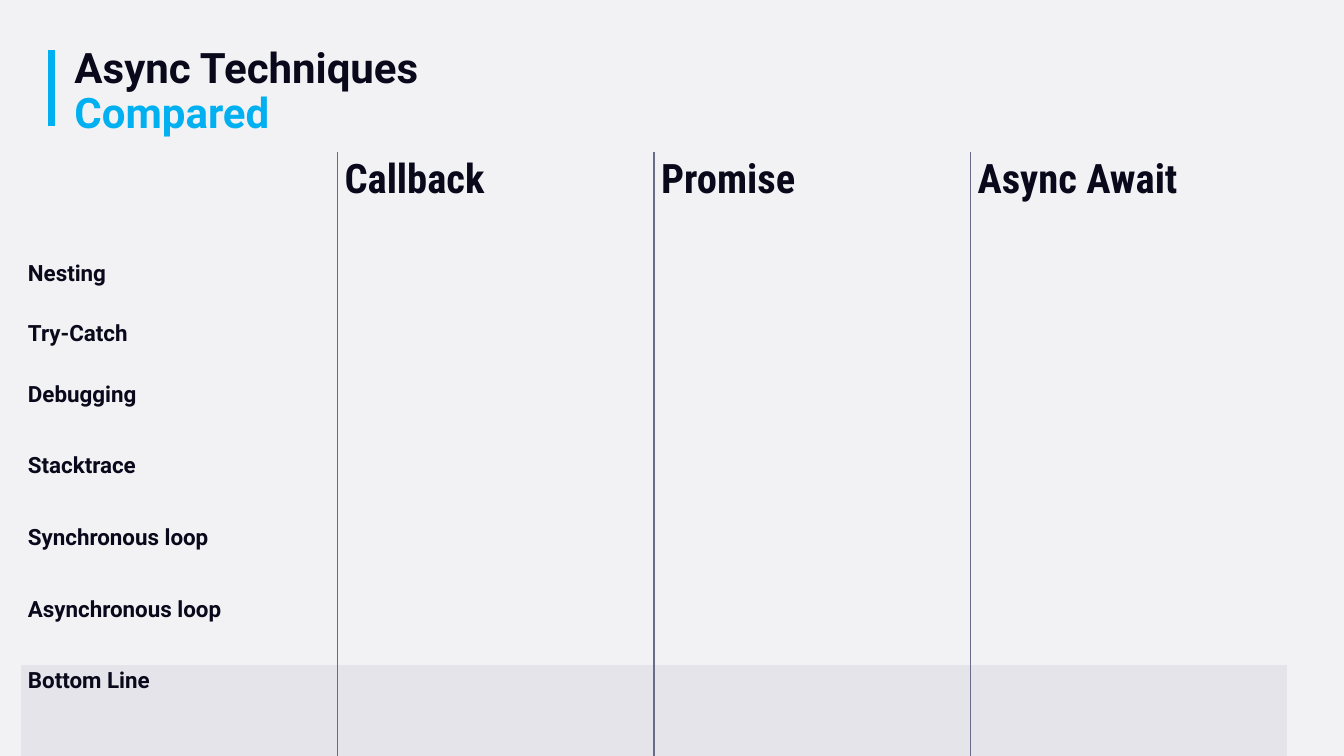
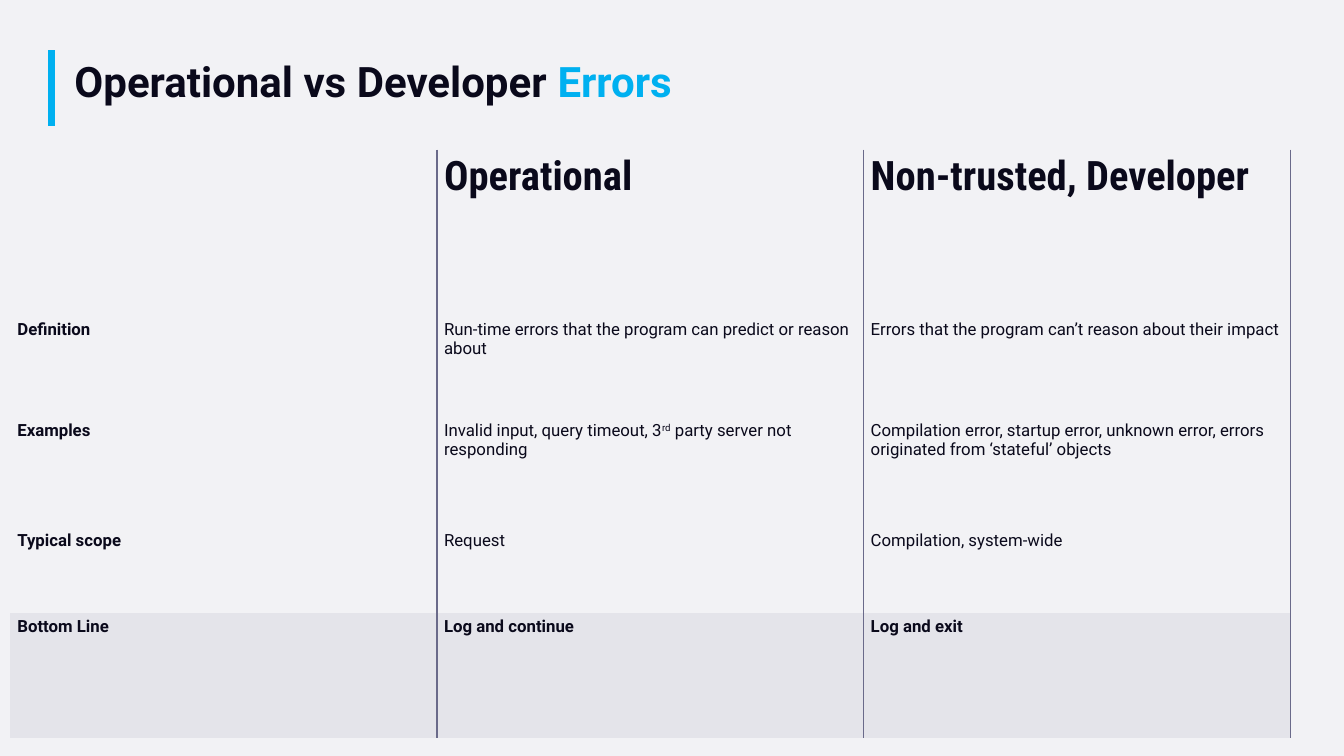
from dataclasses import dataclass

from lxml.etree import SubElement
from pptx import Presentation
from pptx.dml.color import RGBColor
from pptx.enum.shapes import MSO_CONNECTOR
from pptx.oxml.ns import qn
from pptx.util import Pt


@dataclass(frozen=True)
class Theme:
    background: str = "F2F2F5"
    ink: str = "0A091B"
    accent: str = "00B0F0"
    rule: str = "6A6A8A"
    band: str = "E4E4EA"
    body_font: str = "Roboto"
    header_font: str = "Roboto Condensed"
    title_size: float = 30
    header_size: float = 29
    accent_width: float = 5
    rule_width: float = 1
    plain_table: str = "{2D5ABB26-0587-4C30-8999-92F81FD0307C}"


@dataclass(frozen=True)
class Box:
    left: float
    top: float
    width: float
    height: float


THEME = Theme()
BAR = Box(36.72, 36, 0, 54)


def add_span(para, text, size, font=THEME.body_font, color=THEME.ink, bold=True, raised=False):
    span = para.add_run()
    span.text = text
    span.font.size = Pt(size)
    span.font.name = font
    span.font.bold = bold
    span.font.color.rgb = RGBColor.from_string(color)
    if raised:
        span.font._element.set("baseline", "30000")


def add_page(deck):
    page = deck.slides.add_slide(deck.slide_layouts[6])
    page.background.fill.solid()
    page.background.fill.fore_color.rgb = RGBColor.from_string(THEME.background)
    bar = page.shapes.add_connector(
        MSO_CONNECTOR.STRAIGHT, Pt(BAR.left), Pt(BAR.top),
        Pt(BAR.left + BAR.width), Pt(BAR.top + BAR.height))
    bar.line.color.rgb = RGBColor.from_string(THEME.accent)
    bar.line.width = Pt(THEME.accent_width)
    SubElement(bar._element.spPr, qn("a:effectLst"))
    return page


def add_title(page, box, lead, accent, stacked=False):
    frame = page.shapes.add_textbox(
        Pt(box.left), Pt(box.top), Pt(box.width), Pt(box.height)).text_frame
    frame.word_wrap = True
    para = frame.paragraphs[0]
    para.line_spacing = 0.9
    add_span(para, lead, THEME.title_size)
    if stacked:
        para.add_line_break()
    add_span(para, accent, THEME.title_size, color=THEME.accent)


def set_borders(cell, left, right):
    properties = cell._tc.get_or_add_tcPr()
    for side, shown in (("L", left), ("R", right), ("T", False), ("B", False)):
        line = SubElement(properties, qn(f"a:ln{side}"), w=str(Pt(THEME.rule_width)))
        if shown:
            fill = SubElement(line, qn("a:solidFill"))
            SubElement(fill, qn("a:srgbClr"), val=THEME.rule)
        else:
            SubElement(line, qn("a:noFill"))


def fill_cell(cell, content, size, font, bold, banded):
    cell.margin_left = cell.margin_right = Pt(5)
    cell.margin_top = cell.margin_bottom = Pt(2.5)
    if banded:
        cell.fill.solid()
        cell.fill.fore_color.rgb = RGBColor.from_string(THEME.band)
    else:
        cell.fill.background()
    para = cell.text_frame.paragraphs[0]
    spans = [(content, False)] if isinstance(content, str) else content
    for text, raised in spans:
        if text:
            add_span(para, text, size, font, bold=bold, raised=raised)


def add_comparison(page, box, rows, heights, body_size, closed=False):
    columns = len(rows[0])
    table = page.shapes.add_table(
        len(rows), columns, Pt(box.left), Pt(box.top), Pt(box.width), Pt(box.height)).table
    table.first_row = table.horz_banding = False
    table._tbl.tblPr.find(qn("a:tableStyleId")).text = THEME.plain_table
    for column in table.columns:
        column.width = Pt(box.width / columns)
    for index, (row, height) in enumerate(zip(rows, heights)):
        table.rows[index].height = Pt(height)
        header, last = index == 0, index == len(rows) - 1
        size = THEME.header_size if header else body_size
        font = THEME.header_font if header else THEME.body_font
        for position, content in enumerate(row):
            cell = table.cell(index, position)
            set_borders(cell, position > 0, closed or position < columns - 1)
            fill_cell(cell, content, size, font, header or last or position == 0, last)


def build_techniques(deck):
    page = add_page(deck)
    add_title(page, Box(46.1, 30.2, 286, 72.7), "Async Techniques", "Compared", stacked=True)
    labels = ["Nesting", "Try-Catch", "Debugging", "Stacktrace",
              "Synchronous loop", "Asynchronous loop", "Bottom Line"]
    rows = [["", "Callback", "Promise", "Async Await"]]
    rows += [[label, "", "", ""] for label in labels]
    heights = [74.9, 43.2, 43.2] + [51.2] * 4 + [74.2]
    add_comparison(page, Box(15, 108.7, 904.4, sum(heights)), rows, heights, 16)


def build_errors(deck):
    page = add_page(deck)
    add_title(page, Box(46.1, 40.3, 612.7, 40.3), "Operational vs Developer ", "Errors")
    rows = [
        ["", "Operational", "Non-trusted, Developer"],
        ["Definition", "Run-time errors that the program can predict or reason about",
         "Errors that the program can’t reason about their impact"],
        ["Examples",
         [("Invalid input, query timeout, 3", False), ("rd", True),
          (" party server not responding", False)],
         "Compilation error, startup error, unknown error, errors originated from ‘stateful’ objects"],
        ["Typical scope", "Request", "Compilation, system-wide"],
        ["Bottom Line", "Log and continue", "Log and exit"],
    ]
    heights = [119, 72, 79.2, 61.2, 88.6]
    add_comparison(page, Box(7.4, 106.8, 914.4, sum(heights)), rows, heights, 12, closed=True)


def main():
    deck = Presentation()
    deck.slide_width, deck.slide_height = Pt(960), Pt(540)
    build_techniques(deck)
    build_errors(deck)
    deck.save("out.pptx")


if __name__ == "__main__":
    main()
